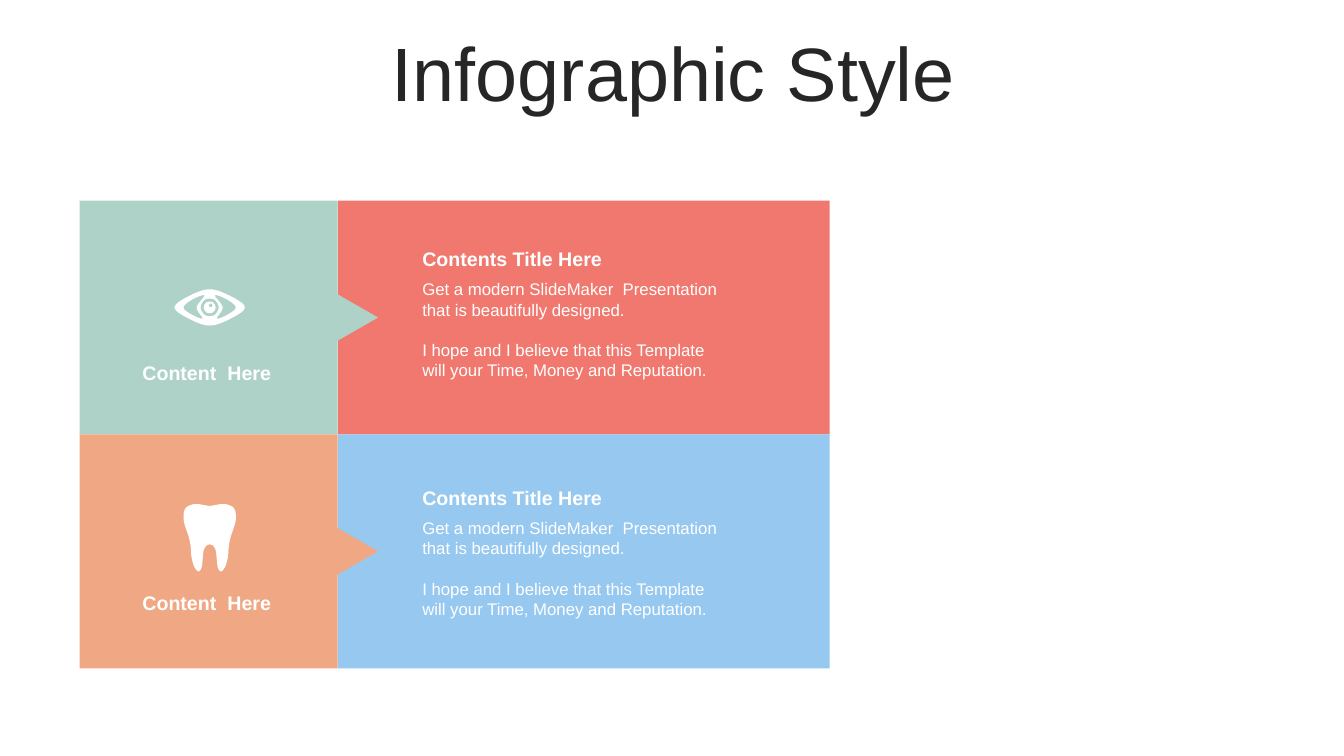
from math import cos, sin, tau
from lxml import etree
from pptx import Presentation
from pptx.dml.color import RGBColor
from pptx.enum import shapes, text
from pptx.oxml.ns import qn
from pptx.util import Inches, Pt

WHITE = RGBColor(0xFF, 0xFF, 0xFF)
DARK = RGBColor(0x26, 0x26, 0x26)
GREEN = RGBColor(0xAF, 0xD2, 0xC8)
ORANGE = RGBColor(0xF0, 0xA8, 0x84)
RED = RGBColor(0xF0, 0x78, 0x6E)
BLUE = RGBColor(0x96, 0xC8, 0xF0)

LEFT, TOP, SPLIT, HIGH = 0.79, 1.99, 3.35, 2.32
ICON = 2.08  # centre line of both icons
BODY = [
    "Get a modern SlideMaker  Presentation that is beautifully designed.",
    "I hope and I believe that this Template will your Time, Money and Reputation.",
]

deck = Presentation()
deck.slide_width, deck.slide_height = Inches(13.33), Inches(7.5)
slide = deck.slides.add_slide(deck.slide_layouts[6])


def draw(loops, color, smooth=True):
    """Fill closed loops as one shape, with curves through the points if smooth."""
    pen = None
    for loop in loops:
        points = [(Inches(x), Inches(y)) for x, y in loop]
        if pen is None:
            pen = slide.shapes.build_freeform(*points[0])
        else:
            pen.move_to(*points[0])
        pen.add_line_segments(points[1:] + points[:1] * smooth, close=True)
    shape = pen.convert_to_shape()
    shape.fill.solid()
    shape.fill.fore_color.rgb = color
    shape.line.fill.background()
    shape.shadow.inherit = False
    if not smooth:
        return
    lines = list(shape._element.iter(qn("a:lnTo")))
    for loop in loops:
        for i in range(len(loop)):
            a, b, c, d = (loop[(i + k) % len(loop)] for k in (-1, 0, 1, 2))
            out = [q + (r - p) / 6 for p, q, r in zip(a, b, c)]
            back = [q - (r - p) / 6 for p, q, r in zip(b, c, d)]
            line = lines.pop(0)
            line.tag = qn("a:cubicBezTo")
            for k, (x, y) in enumerate((out, back)):
                knot = etree.Element(qn("a:pt"))
                knot.set("x", str(Inches(x) - shape.left))
                knot.set("y", str(Inches(y) - shape.top))
                line.insert(k, knot)


def write(box, lines, size, color=WHITE, bold=False, center=False, before=0):
    frame = slide.shapes.add_textbox(*map(Inches, box)).text_frame
    frame.word_wrap = True
    if center:
        frame.vertical_anchor = text.MSO_ANCHOR.MIDDLE
    frame.text = "\n".join(lines)
    for par in frame.paragraphs:
        par.font.name, par.font.size, par.font.bold = "Arial", Pt(size), bold
        par.font.color.rgb = color
        par.space_before = Pt(before)
        if center:
            par.alignment = text.PP_ALIGN.CENTER
    return frame


title = write((0.35, 0.37, 12.66, 0.79), ["Infographic Style"], 54, DARK,
              center=True, before=10)
title.paragraphs[0].line_spacing = 0.9

rows = [(GREEN, RED, 3.54, 2.4), (ORANGE, BLUE, 5.82, 4.77)]
for i, (tab, panel, label, head) in enumerate(rows):
    y = TOP + i * HIGH
    mid = y + HIGH / 2
    card = slide.shapes.add_shape(shapes.MSO_SHAPE.RECTANGLE, Inches(SPLIT),
                                  Inches(y), Inches(4.88), Inches(HIGH))
    card.fill.solid()
    card.fill.fore_color.rgb = panel
    card.line.fill.background()
    card.shadow.inherit = False
    draw([[(LEFT, y), (SPLIT, y), (SPLIT, mid - 0.23), (SPLIT + 0.4, mid),
           (SPLIT, mid + 0.23), (SPLIT, y + HIGH), (LEFT, y + HIGH)]],
         tab, smooth=False)
    frame = write((0.95, label, 2.18, 0.31), ["Content  Here"], 14,
                  bold=True, center=True, before=2.8)
    frame.margin_left = Inches(0.12)
    frame = write((4.09, head + 0.32, 3.24, 1.11), BODY, 12)
    frame.paragraphs[1].space_before = Pt(14.4)
    write((4.09, head, 3.24, 0.4), ["Contents Title Here"], 14,
          bold=True, before=2.8)

# Eye: lens, the two gaps beside the iris, then nested rings
lens = [(-0.35, 0), (-0.21, -0.11), (0, -0.18), (0.21, -0.11),
        (0.35, 0), (0.21, 0.11), (0, 0.18), (-0.21, 0.11)]
gap = [(0.05, -0.12), (0.13, 0), (0.07, 0.11), (0.18, 0.07),
       (0.26, 0), (0.17, -0.08)]
eye = [lens, gap, [(-x, y) for x, y in gap]]
for x, y, r in [(0, 0, 0.09), (0, 0, 0.06), (0.01, -0.02, 0.02)]:
    eye.append([(x + r * cos(k * tau / 6), y + r * sin(k * tau / 6))
                for k in range(6)])
draw([[(ICON + x, 3.05 + y) for x, y in loop] for loop in eye], WHITE)

# Tooth: right half from crown to root, mirrored
half = [(0, 5.02), (0.06, 5.01), (0.15, 5), (0.24, 5.04), (0.26, 5.12),
        (0.25, 5.2), (0.21, 5.32), (0.19, 5.41), (0.18, 5.53), (0.15, 5.63),
        (0.11, 5.67), (0.08, 5.63), (0.07, 5.55), (0.06, 5.46), (0.03, 5.41),
        (0, 5.4)]
tooth = half + [(-x, y) for x, y in half[-2:0:-1]]
draw([[(ICON + x, y) for x, y in tooth]], WHITE)

deck.save("out.pptx")
